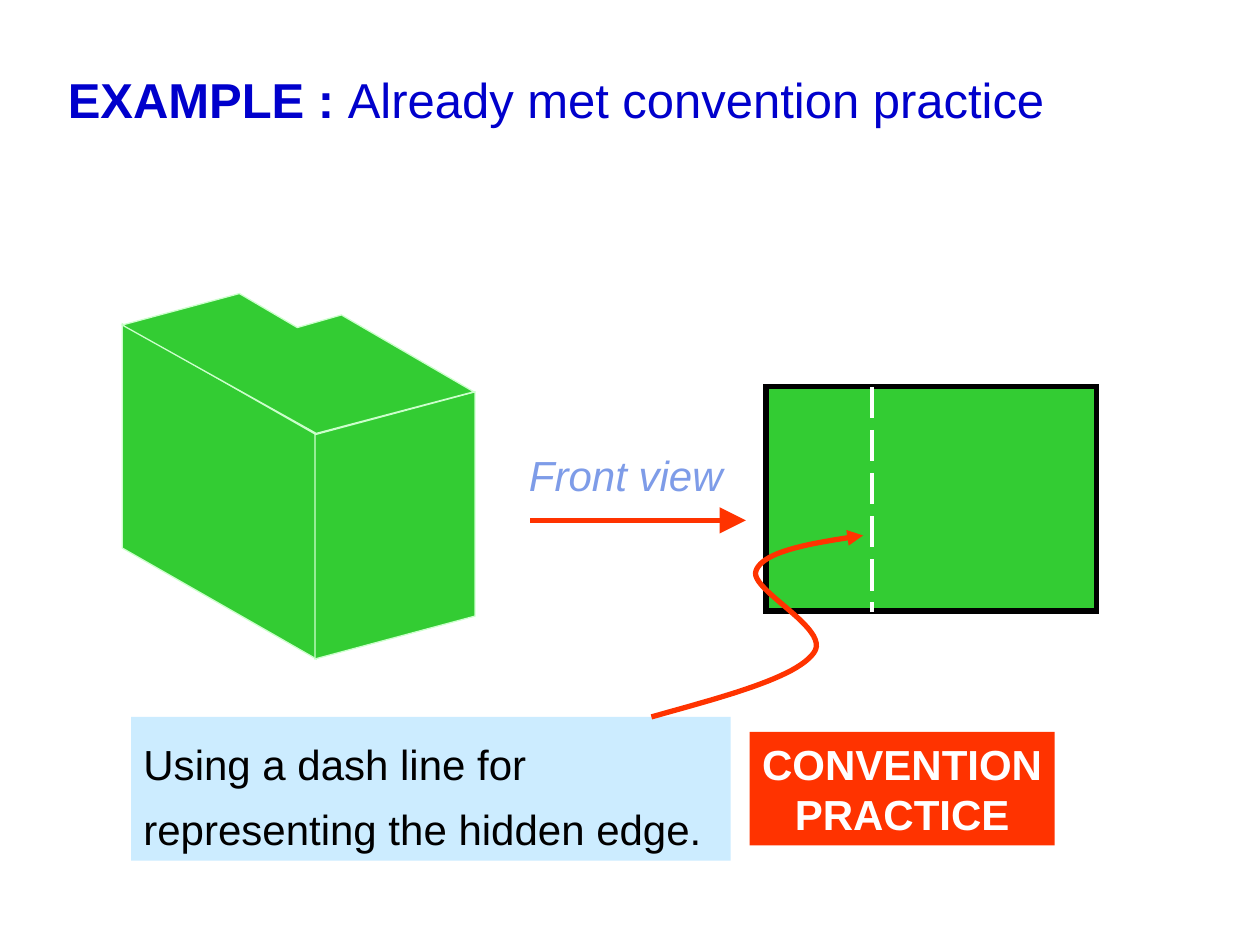
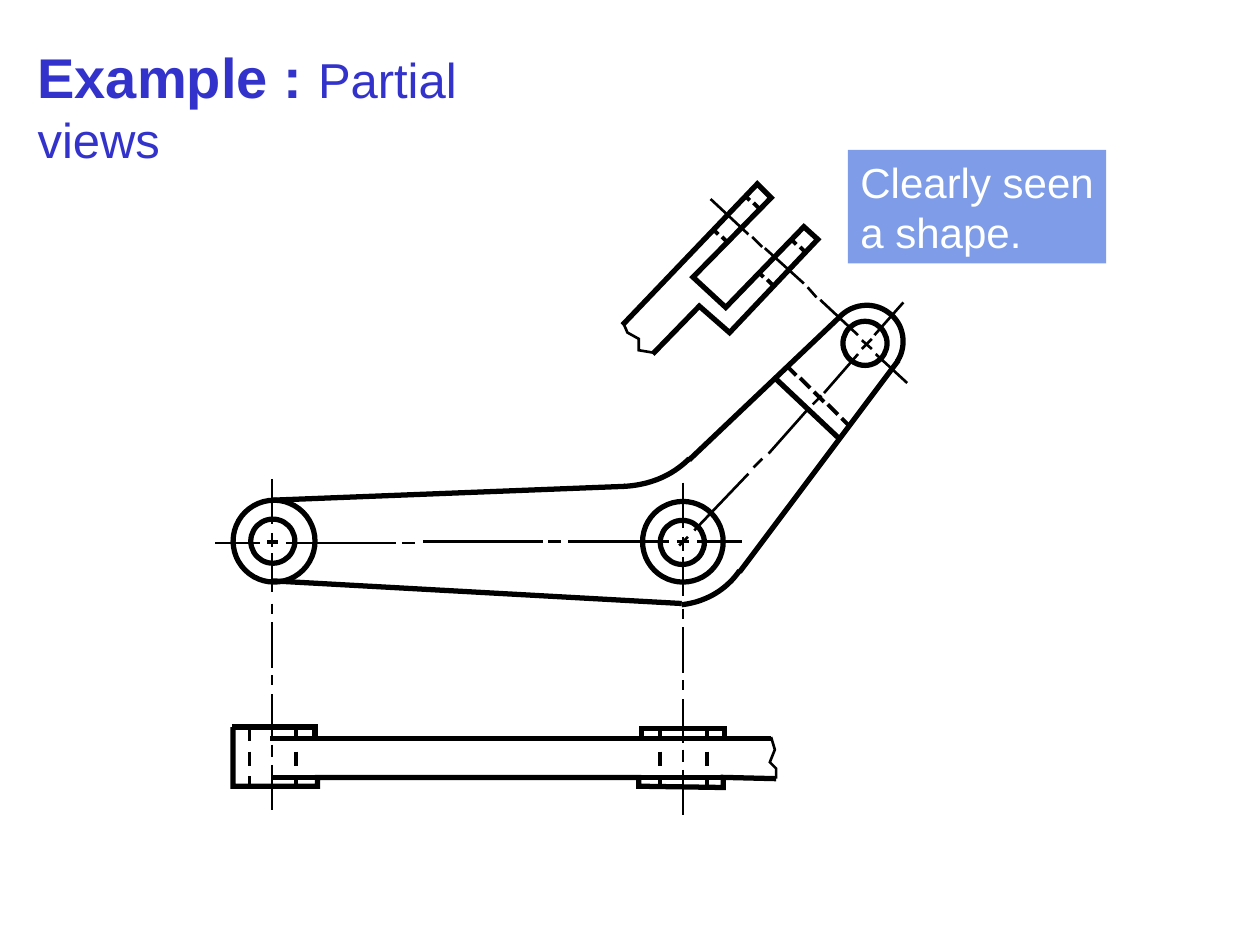
from dataclasses import dataclass

from lxml import etree
from pptx import Presentation
from pptx.dml.color import RGBColor
from pptx.enum.dml import MSO_LINE
from pptx.enum.shapes import MSO_CONNECTOR, MSO_SHAPE
from pptx.enum.text import MSO_ANCHOR, PP_ALIGN
from pptx.oxml.ns import qn
from pptx.util import Emu, Pt

STRAIGHT = MSO_CONNECTOR.STRAIGHT
RECTANGLE, OVAL = MSO_SHAPE.RECTANGLE, MSO_SHAPE.OVAL
DASH, LONG_DASH = MSO_LINE.DASH, MSO_LINE.LONG_DASH
LEFT, CENTER = PP_ALIGN.LEFT, PP_ALIGN.CENTER
TOP, BOTTOM = MSO_ANCHOR.TOP, MSO_ANCHOR.BOTTOM

EMU_PER_PX = 9144  # 100 px to the inch
PAGE_SIZE = (1000, 750)
CURVE_STEPS = 24


@dataclass(frozen=True)
class Theme:
    font: str = "Arial"
    heading: str = "0000CC"
    heading_soft: str = "3333CC"
    solid: str = "33CC33"
    solid_edge: str = "CCFFCC"
    accent: str = "FF3300"
    note: str = "CCECFF"
    periwinkle: str = "7E9CE8"
    ink: str = "000000"
    paper: str = "FFFFFF"
    large: int = 32
    title: int = 28
    body: int = 24
    thick: float = 3
    medium: float = 2.25
    hidden: float = 2
    thin: float = 1.5
    hairline: float = 0.75


THEME = Theme()


def span(text, color, size=THEME.body, bold=False, italic=False):
    return dict(text=text, color=color, size=size, bold=bold, italic=italic)


# Slide 1: a text panel is box, paragraphs of spans, then options
CONVENTION_TEXTS = [
    dict(box=(104, 569, 476, 114), fill=THEME.note, spacing=1.3, wrap=True,
         paras=[[span("Using a dash line for representing the hidden edge.", THEME.ink)]]),
    dict(box=(44, 17, 878, 90), anchor=BOTTOM, wrap=True,
         paras=[[span("EXAMPLE : ", THEME.heading, THEME.title, bold=True),
                 span("Already met convention practice", THEME.heading, THEME.title)]]),
    dict(box=(410, 352, 174, 50),
         paras=[[span("Front view", THEME.periwinkle, italic=True)]]),
    dict(box=(595, 581, 242, 90), fill=THEME.accent, align=CENTER,
         paras=[[span(word, THEME.paper, bold=True)] for word in ("CONVENTION", "PRACTICE")]),
]
BLOCK_FACES = [
    [(97, 257), (97, 435), (251, 523), (251, 345)],
    [(250, 523), (250, 345), (377, 311), (377, 489)],
    [(97, 258), (190, 233), (236, 260), (271, 250), (376, 311), (251, 344)],
]
FRONT_VIEW = (608, 307, 262, 178)
HIDDEN_EDGE = (692, 307, 692, 486)
VIEW_ARROW = (421, 413, 592, 413)
NOTE_LEADER = [(685, 425),
               [(645, 431), (606, 437), (600, 453)],
               [(594, 468), (660, 499), (646, 518)],
               [(632, 538), (574, 553), (517, 569)]]

# Slide 2
PARTIAL_TEXTS = [
    dict(box=(673, 119, 205, 90), fill=THEME.periwinkle,
         paras=[[span(line, THEME.paper)] for line in ("Clearly seen", "a shape.")]),
    dict(box=(20, 29, 460, 64),
         paras=[[span("Example : ", THEME.heading_soft, THEME.large, bold=True),
                 span("Partial views", THEME.heading_soft, THEME.title)]]),
]
FORK = [(494, 258), (601, 146), (612, 157), (550, 220), (576, 244),
        (638, 180), (649, 190), (579, 264), (555, 243), (518, 281)]
PLAN_TOP = [(184, 577), (250, 577), (250, 586), (509, 586),
            (509, 578), (575, 578), (575, 586), (612, 586)]
PLAN_BOTTOM = [(185, 577), (185, 624), (252, 624), (252, 617), (507, 617),
               (507, 624), (574, 625), (574, 617), (616, 618)]
BREAK_LINES = [
    [(495, 257), (498, 264), (507, 269), (507, 278), (519, 280)],
    [(612, 585), (615, 595), (611, 605), (616, 610), (616, 618)],
]
ARM_CURVES = [
    [(547, 364), [(533, 378), (515, 385), (495, 386)]],
    [(666, 252), [(676, 241), (693, 239), (705, 248)], [(718, 257), (720, 275), (712, 287)]],
    [(587, 453), [(576, 469), (559, 478), (541, 480)]],
]
ARM_EDGES = [
    (216, 397, 496, 386), (216, 461, 541, 479), (547, 365, 666, 252),
    (713, 286, 587, 454), (615, 300, 667, 349),
]
PLAN_EDGES = [(507, 586, 575, 586), (250, 586, 214, 586),
              (251, 617, 215, 617), (507, 617, 575, 617)]
HUB_CIRCLES = [(185, 397, 65), (199, 412, 35), (510, 398, 64), (524, 413, 35), (669, 255, 35)]
BORE_EDGES_X = (198, 235, 524, 561)
BORE_EDGE_Y = (577, 624)

FORK_HOLES = [(570, 186), (595, 159), (632, 194), (606, 220)]
HOLE_PAIR_STEP = (7, 6)
HOLE_TICK = 4
SLOT_START, SLOT_DASHES = (624, 290), 5

LEFT_AXIS_X, MIDDLE_AXIS_X = 216, 542
HUB_AXIS = [(380, 416), (423, 434), (439, 470)]
PROJECTION = [(479, 487), (494, 530), (536, 544), (551, 586), (591, 601), (607, 643)]
VERTICAL_AXES = [(LEFT_AXIS_X, 0, HUB_AXIS), (MIDDLE_AXIS_X, 3, HUB_AXIS),
                 (LEFT_AXIS_X, 0, PROJECTION), (MIDDLE_AXIS_X, 4, PROJECTION)]
HORIZONTAL_AXES = [
    (431, [(171, 206), (212, 221), (227, 314), (319, 329)]),
    (430, [(336, 431), (435, 445), (451, 531), (537, 547), (553, 589)]),
]
SLANTED_AXES = [
    (564, 158, 594, 186), (597, 188, 605, 196), (607, 197, 638, 225), (641, 228, 648, 236),
    (651, 238, 681, 266), (684, 270, 692, 277), (695, 281, 720, 304),
    (539, 433, 546, 426), (551, 421, 594, 376), (598, 371, 605, 364), (610, 360, 641, 325),
    (645, 321, 652, 314), (654, 312, 681, 281), (684, 277, 692, 269), (694, 266, 717, 240),
]


def px(value):
    return Emu(round(value * EMU_PER_PX))


def rgb(code):
    return RGBColor.from_string(code)


def paint(shape, fill):
    shape.shadow.inherit = False
    if fill:
        shape.fill.solid()
        shape.fill.fore_color.rgb = rgb(fill)
    else:
        shape.fill.background()


def stroke(shape, color, width, dash=None, head=None, tail=None):
    """Style a line; head and tail give the arrowhead size at its start and end."""
    line = shape.line
    line.color.rgb = rgb(color)
    line.width = Pt(width)
    if dash:
        line.dash_style = dash
    outline = shape._element.spPr.find(qn("a:ln"))
    etree.SubElement(outline, qn("a:miter"), lim="800000")
    for tag, size in (("a:headEnd", head), ("a:tailEnd", tail)):
        if size:
            etree.SubElement(outline, qn(tag), type="triangle", w=size, len=size)


def add_line(page, ends, width, color=THEME.ink, **style):
    line = page.shapes.add_connector(STRAIGHT, *map(px, ends))
    stroke(line, color, width, **style)
    etree.SubElement(line._element.spPr, qn("a:effectLst"))


def add_outline(page, points, width=THEME.thick, color=THEME.ink, fill=None, **style):
    """Draw a path through the points, closed when it has a fill."""
    start, *rest = [(px(x), px(y)) for x, y in points]
    builder = page.shapes.build_freeform(*start, scale=1.0)
    builder.add_line_segments(rest, close=bool(fill))
    outline = builder.convert_to_shape()
    paint(outline, fill)
    stroke(outline, color, width, **style)


def add_preset(page, kind, box, fill=None):
    shape = page.shapes.add_shape(kind, *map(px, box))
    paint(shape, fill)
    stroke(shape, THEME.ink, THEME.thick)


def curve_points(start, *pieces):
    """Sample joined cubic curves, each given by two controls and an end."""
    points = [start]
    for piece in pieces:
        corners = [points[-1], *piece]
        for step in range(1, CURVE_STEPS + 1):
            t = step / CURVE_STEPS
            weights = ((1 - t) ** 3, 3 * t * (1 - t) ** 2, 3 * t ** 2 * (1 - t), t ** 3)
            points.append(tuple(sum(w * corner[axis] for w, corner in zip(weights, corners))
                                for axis in (0, 1)))
    return points


def add_text(page, box, paras, fill=None, align=LEFT, anchor=TOP, spacing=1.0, wrap=False):
    panel = page.shapes.add_textbox(*map(px, box))
    if fill:
        paint(panel, fill)
    frame = panel.text_frame
    frame.word_wrap = wrap
    frame.vertical_anchor = anchor
    for index, spans in enumerate(paras):
        para = frame.add_paragraph() if index else frame.paragraphs[0]
        para.alignment = align
        para.line_spacing = spacing
        for item in spans:
            run = para.add_run()
            run.text = item["text"]
            font = run.font
            font.name, font.size = THEME.font, Pt(item["size"])
            font.bold, font.italic = item["bold"], item["italic"]
            font.color.rgb = rgb(item["color"])


def draw_convention(page):
    for face in BLOCK_FACES:
        add_outline(page, face, THEME.hairline, THEME.solid_edge, THEME.solid)
    for text in CONVENTION_TEXTS:
        add_text(page, **text)
    add_preset(page, RECTANGLE, FRONT_VIEW, THEME.solid)
    add_line(page, HIDDEN_EDGE, THEME.medium, THEME.paper, dash=LONG_DASH)
    add_line(page, VIEW_ARROW, THEME.thick, THEME.accent, tail="lg")
    add_outline(page, curve_points(*NOTE_LEADER), color=THEME.accent, head="med")


def draw_hidden_edges(page):
    for x, y in FORK_HOLES:
        for side in (0, 1):
            left, top = x + side * HOLE_PAIR_STEP[0], y + side * HOLE_PAIR_STEP[1]
            add_line(page, (left, top, left - HOLE_TICK, top - HOLE_TICK), THEME.medium)
    for index in range(SLOT_DASHES):
        left, top = SLOT_START[0] + 11 * index, SLOT_START[1] + 21 * index // 2
        length = 6 if index == SLOT_DASHES - 1 else 8
        add_line(page, (left, top, left + length, top + length), THEME.medium)
    for x in BORE_EDGES_X:
        add_line(page, (x, BORE_EDGE_Y[0], x, BORE_EDGE_Y[1]), THEME.hidden, dash=DASH)


def draw_axes(page):
    for x, shift, dashes in VERTICAL_AXES:
        for top, bottom in dashes:
            add_line(page, (x, top + shift, x, bottom + shift), THEME.thin)
    for y, dashes in HORIZONTAL_AXES:
        for left, right in dashes:
            add_line(page, (left, y, right, y), THEME.thin)
    # Short cross mark at the left hub centre
    add_line(page, (212, 430, 221, 430), THEME.thin)
    for ends in SLANTED_AXES:
        add_line(page, ends, THEME.thin)


def draw_partial_views(page):
    for text in PARTIAL_TEXTS:
        add_text(page, **text)
    for points in (FORK, PLAN_TOP, PLAN_BOTTOM):
        add_outline(page, points)
    for points in BREAK_LINES:
        add_outline(page, points, THEME.thin)
    for pieces in ARM_CURVES:
        add_outline(page, curve_points(*pieces))
    for ends in ARM_EDGES + PLAN_EDGES:
        add_line(page, ends, THEME.thick)
    for left, top, size in HUB_CIRCLES:
        add_preset(page, OVAL, (left, top, size, size))
    draw_hidden_edges(page)
    draw_axes(page)


def main():
    deck = Presentation()
    deck.slide_width, deck.slide_height = map(px, PAGE_SIZE)
    blank = deck.slide_layouts[6]
    for draw in (draw_convention, draw_partial_views):
        draw(deck.slides.add_slide(blank))
    deck.save("out.pptx")


if __name__ == "__main__":
    main()
